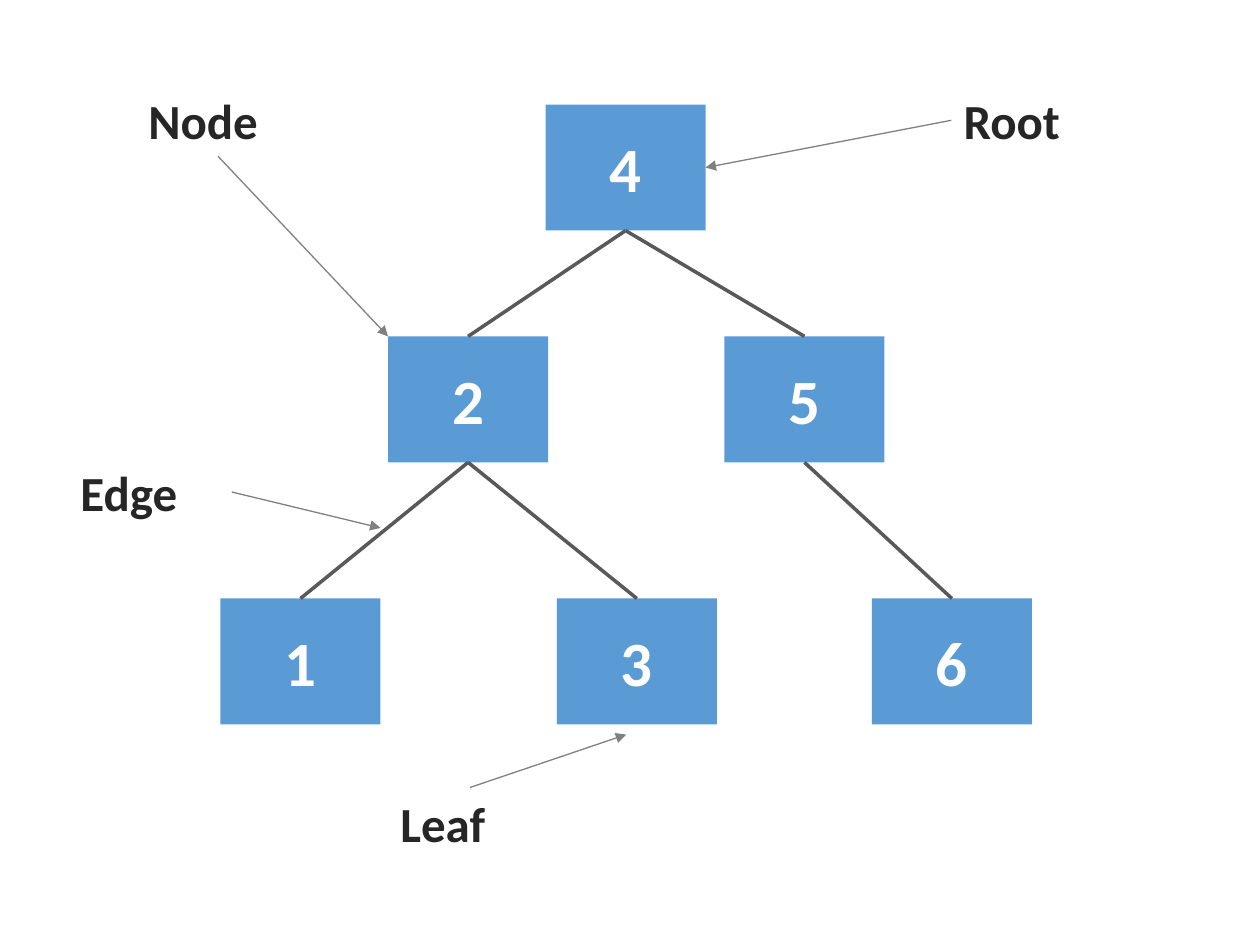
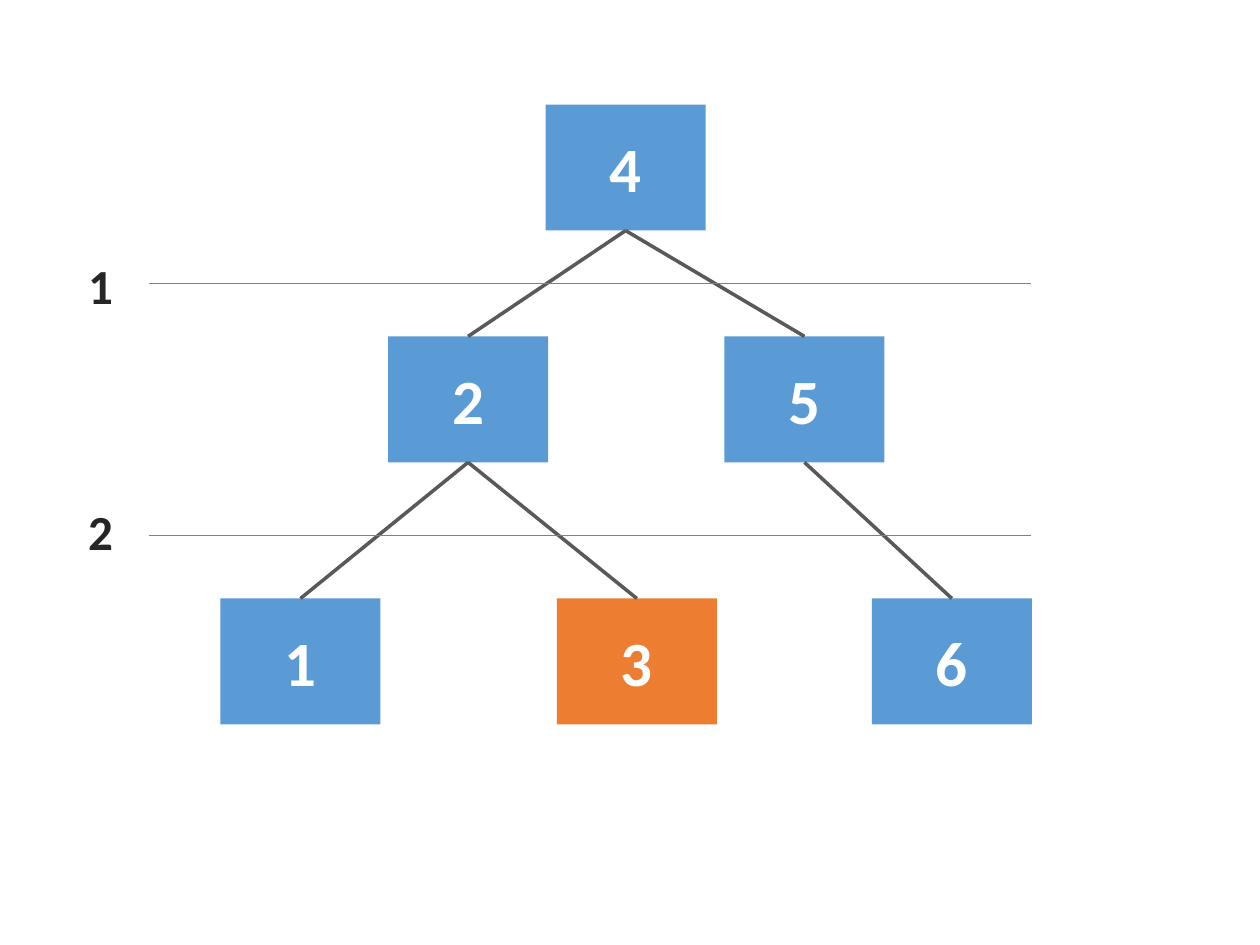
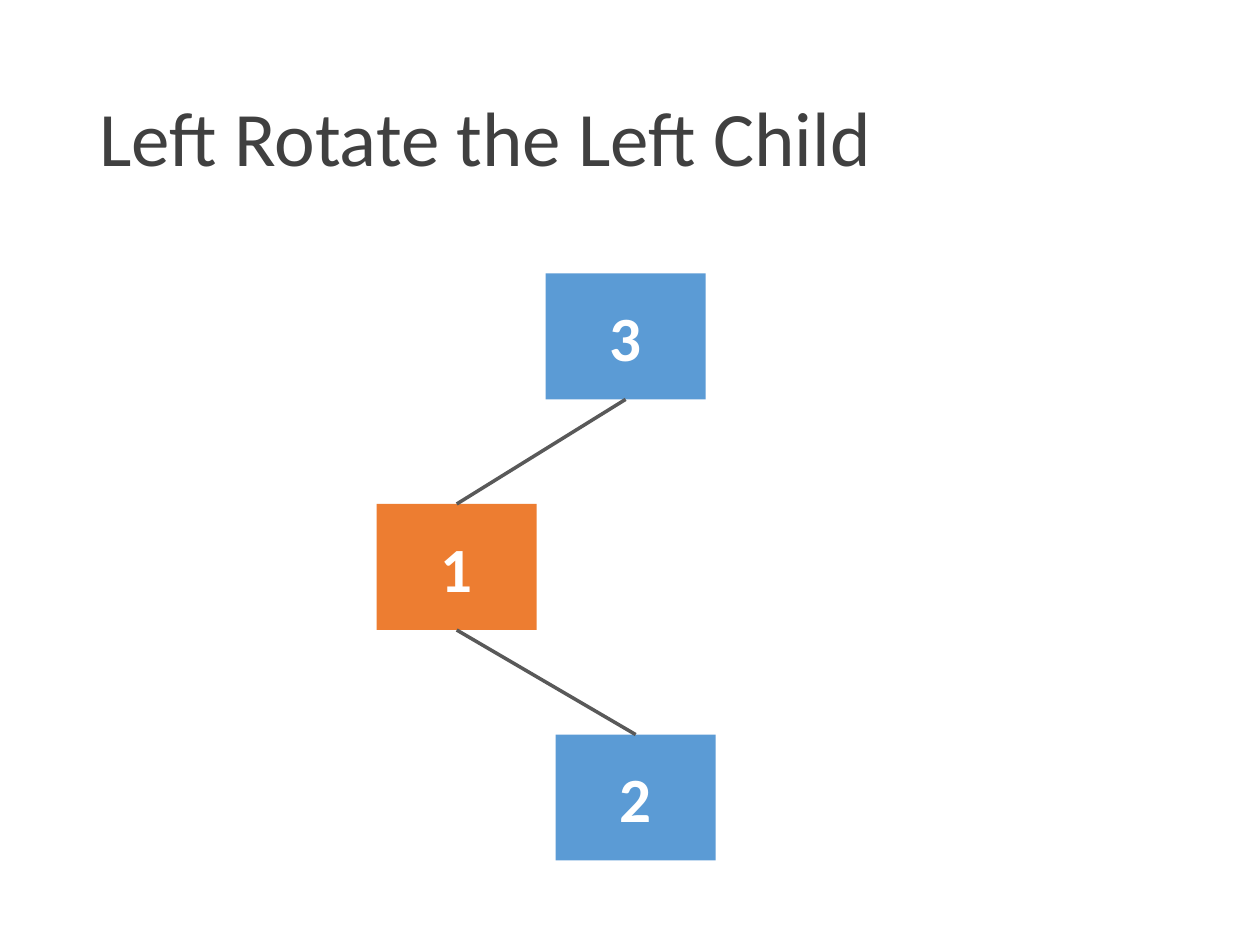
from pptx import Presentation, util as u
from pptx.dml.color import RGBColor
from pptx.enum import shapes, text
from pptx.oxml import ns
from lxml import etree

BLUE = RGBColor(0x5B, 0x9B, 0xD5)
ORANGE = RGBColor(0xED, 0x7D, 0x31)
WHITE = RGBColor(0xFF, 0xFF, 0xFF)
EDGE_GRAY = RGBColor(0x59, 0x59, 0x59)
NOTE_GRAY = RGBColor(0x80, 0x80, 0x80)
LABEL_DARK = RGBColor(0x26, 0x26, 0x26)
TITLE_DARK = RGBColor(0x40, 0x40, 0x40)
FONT = "Calibri"
NODE_WIDTH, NODE_HEIGHT = 1.27, 1
LABEL_HEIGHT = 0.57
TOP, LEFT, BOTTOM, RIGHT = range(4)  # connection sites of a rectangle

# Node value -> offset from the top left corner of the tree
SEARCH_TREE = {4: (2.58, 0), 2: (1.33, 1.84), 5: (4, 1.84),
               1: (0, 3.92), 3: (2.67, 3.92), 6: (5.17, 3.92)}
SEARCH_EDGES = [(4, 2), (4, 5), (2, 1), (2, 3), (5, 6)]
SEARCH_ORIGIN = (1.75, 0.83)

BENT_TREE = {3: (1.34, 0), 1: (0, 1.83), 2: (1.42, 3.66)}
BENT_EDGES = [(3, 1), (1, 2)]
BENT_ORIGIN = (2.99, 2.17)

# Label, offset, side the arrow leaves from, offset of the arrow tip
CALLOUTS = [
    ("Node", (-0.67, -0.16), BOTTOM, SEARCH_TREE[2]),
    ("Root", (5.8, -0.16), LEFT, (2.58 + NODE_WIDTH, NODE_HEIGHT / 2)),
    ("Edge", (-1.21, 2.79), RIGHT, (1.27, 3.36)),
    ("Leaf", (1.33, 5.42), TOP, (3.22, 5)),
]


def add_words(box, words, size, color, bold=True):
    para = box.text_frame.paragraphs[0]
    span = para.add_run()
    span.text = words
    span.font.name = FONT
    span.font.size = u.Pt(size)
    span.font.bold = bold
    span.font.color.rgb = color
    return para


def add_line(page, start, end, color, width, arrow=False):
    line = page.shapes.add_connector(
        shapes.MSO_CONNECTOR.STRAIGHT, *map(u.Inches, (*start, *end)))
    line.line.color.rgb = color
    line.line.width = u.Pt(width)
    if arrow:
        tip = etree.SubElement(line.line._get_or_add_ln(), ns.qn("a:tailEnd"))
        tip.set("type", "triangle")
    etree.SubElement(line._element.spPr, ns.qn("a:effectLst"))
    return line


def add_node(page, left, top, value, fill):
    node = page.shapes.add_shape(
        shapes.MSO_SHAPE.RECTANGLE,
        *map(u.Inches, (left, top, NODE_WIDTH, NODE_HEIGHT)))
    node.shadow.inherit = False
    node.fill.solid()
    node.fill.fore_color.rgb = fill
    node.line.fill.background()
    node.text_frame.vertical_anchor = text.MSO_ANCHOR.MIDDLE
    add_words(node, str(value), 36, WHITE).alignment = text.PP_ALIGN.CENTER
    return node


def add_tree(page, origin, offsets, edges, marked=None):
    """Draw the nodes and their edges, with the marked value in orange."""
    left, top = origin
    nodes = {value: add_node(page, left + x, top + y, value,
                             ORANGE if value == marked else BLUE)
             for value, (x, y) in offsets.items()}
    for parent, child in edges:
        edge = add_line(page, (0, 0), (1, 1), EDGE_GRAY, 2)
        edge.begin_connect(nodes[parent], BOTTOM)
        edge.end_connect(nodes[child], TOP)


def add_label(page, left, top, width, words):
    label = page.shapes.add_textbox(
        *map(u.Inches, (left, top, width, LABEL_HEIGHT)))
    label.text_frame.word_wrap = True
    label.text_frame.auto_size = text.MSO_AUTO_SIZE.SHAPE_TO_FIT_TEXT
    add_words(label, words, 28, LABEL_DARK)
    return label


def add_callouts(page, origin):
    left, top = origin
    for words, (x, y), side, (tip_x, tip_y) in CALLOUTS:
        label = add_label(page, left + x, top + y, 1.3, words)
        arrow = add_line(page, origin, (left + tip_x, top + tip_y),
                         NOTE_GRAY, 0.75, arrow=True)
        arrow.begin_connect(label, side)


def add_levels(page, origin):
    """Rule off the levels of the tree and number them."""
    left, top = origin
    for number, line_y, label_y in [("1", 1.42, 1.15), ("2", 3.42, 3.1)]:
        start = left - 0.57
        add_line(page, (start, top + line_y), (start + 7, top + line_y),
                 NOTE_GRAY, 0.75)
        add_label(page, start - 0.58, top + label_y, 0.58, number)


def add_title(page, words):
    title = page.shapes.add_textbox(*map(u.Inches, (0.69, 0.4, 8.62, 1.45)))
    title.text_frame.word_wrap = True
    title.text_frame.vertical_anchor = text.MSO_ANCHOR.MIDDLE
    add_words(title, words, 44, TITLE_DARK, bold=False).line_spacing = 0.9


def main():
    deck = Presentation()
    deck.slide_width, deck.slide_height = u.Inches(10), u.Inches(7.5)
    parts_page, levels_page, rotate_page = (
        deck.slides.add_slide(deck.slide_layouts[6]) for _ in range(3))

    add_tree(parts_page, SEARCH_ORIGIN, SEARCH_TREE, SEARCH_EDGES)
    add_callouts(parts_page, SEARCH_ORIGIN)

    add_tree(levels_page, SEARCH_ORIGIN, SEARCH_TREE, SEARCH_EDGES, marked=3)
    add_levels(levels_page, SEARCH_ORIGIN)

    add_title(rotate_page, "Left Rotate the Left Child")
    add_tree(rotate_page, BENT_ORIGIN, BENT_TREE, BENT_EDGES, marked=1)

    deck.save("out.pptx")


if __name__ == "__main__":
    main()
